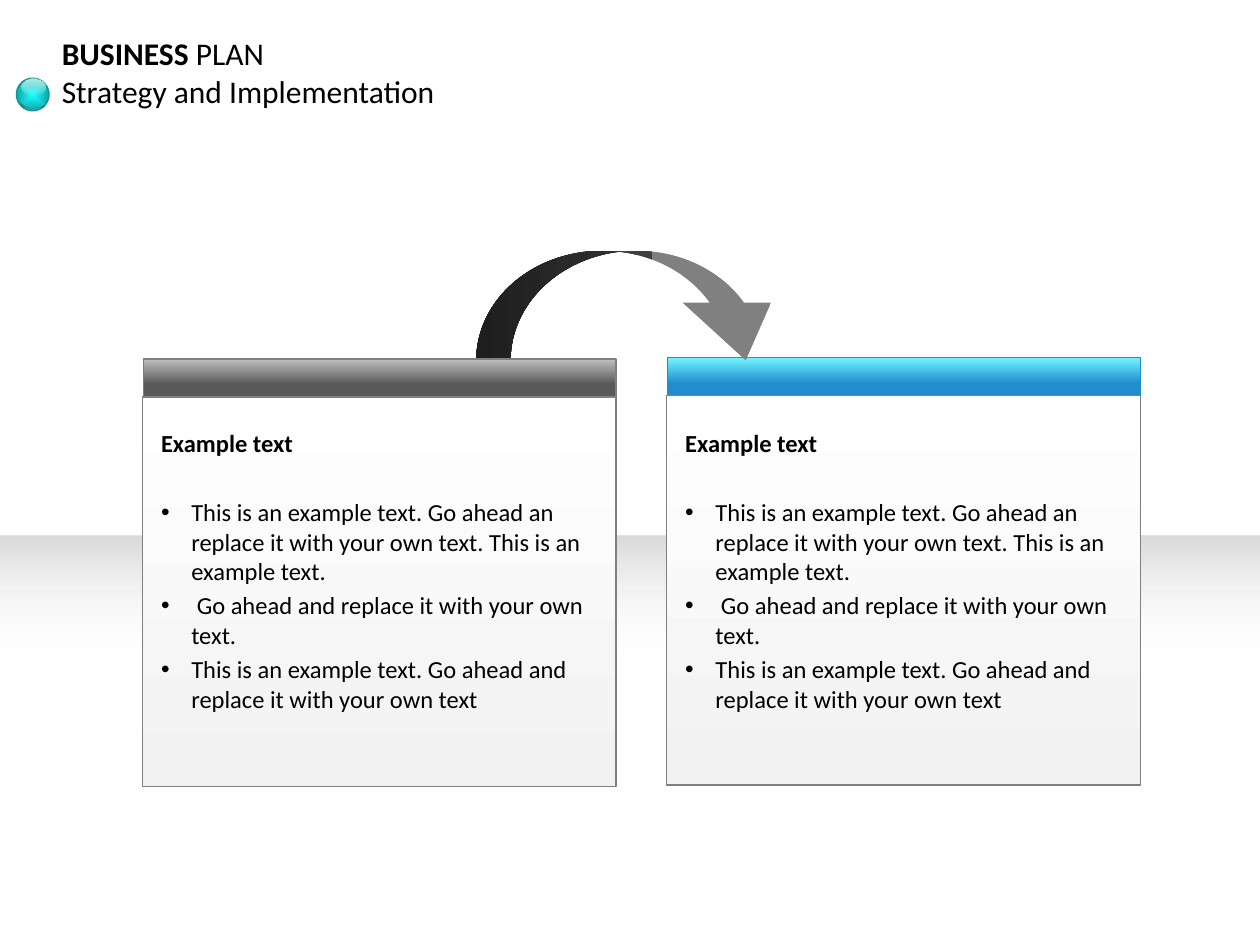
from dataclasses import dataclass
from typing import Optional

from lxml.etree import SubElement
from pptx import Presentation
from pptx.dml.color import RGBColor
from pptx.enum.shapes import MSO_SHAPE as Preset
from pptx.enum.text import MSO_ANCHOR, MSO_AUTO_SIZE, PP_ALIGN
from pptx.oxml import parse_xml
from pptx.oxml.ns import nsdecls, qn
from pptx.util import Inches, Pt


@dataclass(frozen=True)
class Theme:
    """Colours, font and type sizes of the slide."""
    font: str = "Calibri"
    title_size: int = 18
    body_size: int = 14
    black: str = "000000"
    white: str = "FFFFFF"
    pale: str = "F2F2F2"
    band: str = "D9D9D9"
    silver: str = "BFBFBF"
    grey: str = "808080"
    slate: str = "595959"
    dark: str = "404040"
    coal: str = "262626"
    sky: str = "74F4FF"
    blue: str = "208ECD"
    cyan: str = "1DFDFF"
    teal: str = "0C9799"


@dataclass(frozen=True)
class Stop:
    """One gradient stop, with position and opacity in percent."""
    position: int
    color: str
    opacity: int = 100


@dataclass(frozen=True)
class Gradient:
    """Gradient fill; without an angle it runs out from the centre."""
    stops: tuple[Stop, ...]
    angle: Optional[int] = None


@dataclass(frozen=True)
class Panel:
    """A text panel with a coloured header bar."""
    left: float
    top: float
    header: Gradient
    header_line: str


THEME = Theme()
HEADING = "Example text"
BULLETS = (
    "This is an example text. Go ahead an replace it with your own text. "
    "This is an example text.",
    " Go ahead and replace it with your own text.",
    "This is an example text. Go ahead and replace it with your own text",
)
PANEL_FILL = Gradient((Stop(0, THEME.pale), Stop(100, THEME.white)), 270)
BLUE_PANEL = Panel(5.29, 2.84, Gradient(
    (Stop(0, THEME.sky), Stop(56, THEME.blue), Stop(100, THEME.blue)), 90), THEME.blue)
GREY_PANEL = Panel(1.13, 2.85, Gradient(
    (Stop(44, THEME.slate), Stop(100, THEME.silver)), 270), THEME.grey)


def apply_gradient(shape, gradient: Gradient) -> None:
    """Give a shape a linear or centred gradient fill."""
    fill = parse_xml(f'<a:gradFill {nsdecls("a")} rotWithShape="1"/>')
    stop_list = SubElement(fill, qn("a:gsLst"))
    for stop in gradient.stops:
        node = SubElement(stop_list, qn("a:gs"), pos=str(stop.position * 1000))
        color = SubElement(node, qn("a:srgbClr"), val=stop.color)
        if stop.opacity < 100:
            SubElement(color, qn("a:alpha"), val=str(stop.opacity * 1000))
    if gradient.angle is None:
        center = SubElement(fill, qn("a:path"), {"path": "shape"})
        SubElement(center, qn("a:fillToRect"), {side: "50000" for side in "ltrb"})
    else:
        SubElement(fill, qn("a:lin"), ang=str(gradient.angle * 60000), scaled="0")
    shape.element.spPr.find(qn("a:prstGeom")).addnext(fill)


def add_filled(shapes, preset, left: float, top: float, width: float, height: float,
               gradient: Gradient, line: Optional[str] = None, rotation: float = 0,
               adjustments: tuple[float, ...] = ()):
    """Add a gradient-filled preset shape, outlined when a line colour is given."""
    shape = shapes.add_shape(preset, Inches(left), Inches(top), Inches(width), Inches(height))
    shape.shadow.inherit = False
    shape.rotation = rotation
    for index, value in enumerate(adjustments):
        shape.adjustments[index] = value
    apply_gradient(shape, gradient)
    if line:
        shape.line.color.rgb = RGBColor.from_string(line)
        shape.line.width = Pt(0.75)
    else:
        shape.line.fill.background()
    return shape


def style_paragraph(paragraph, size: int) -> None:
    """Set the shared font of a paragraph."""
    paragraph.font.name = THEME.font
    paragraph.font.size = Pt(size)
    paragraph.font.color.rgb = RGBColor.from_string(THEME.black)


def add_bullet(paragraph) -> None:
    """Turn a paragraph into a bullet with a hanging indent."""
    properties = paragraph._p.get_or_add_pPr()
    indent = Inches(0.24)
    properties.set("marL", str(indent))
    properties.set("indent", str(-indent))
    properties.append(parse_xml(f'<a:buFont {nsdecls("a")} typeface="Arial"/>'))
    properties.append(parse_xml(f'<a:buChar {nsdecls("a")} char="&#8226;"/>'))


def add_panel_frame(slide, panel: Panel) -> None:
    """Draw the header bar and the body of a panel as one group."""
    shapes = slide.shapes.add_group_shape().shapes
    add_filled(shapes, Preset.RECTANGLE, panel.left + 0.01, panel.top, 3.75, 0.36,
               panel.header, panel.header_line)
    add_filled(shapes, Preset.RECTANGLE, panel.left, panel.top + 0.3, 3.76, 3.09,
               PANEL_FILL, THEME.grey)


def add_panel_text(slide, left: float) -> None:
    """Write the heading and bullets of a panel."""
    box = slide.shapes.add_textbox(Inches(left), Inches(3.35), Inches(3.66), Inches(2.69))
    frame = box.text_frame
    frame.word_wrap = True
    heading = frame.paragraphs[0]
    heading.text = HEADING
    style_paragraph(heading, THEME.body_size)
    heading.font.bold = True
    for index, text in enumerate(BULLETS):
        paragraph = frame.add_paragraph()
        paragraph.text = text
        style_paragraph(paragraph, THEME.body_size)
        paragraph.space_before = Pt(2.8 if index else 22.6)
        add_bullet(paragraph)


def add_title(slide) -> None:
    """Place and format the two-line title."""
    title = slide.shapes.title
    title.left, title.top = Inches(0.39), Inches(0.22)
    title.width, title.height = Inches(3.19), Inches(0.71)
    frame = title.text_frame
    frame.auto_size = MSO_AUTO_SIZE.NONE
    frame.vertical_anchor = MSO_ANCHOR.TOP
    frame.word_wrap = True
    first, second = frame.paragraphs[0], frame.add_paragraph()
    strong = first.add_run()
    strong.text = "BUSINESS"
    strong.font.bold = True
    first.add_run().text = " PLAN"
    second.text = "Strategy and Implementation"
    for paragraph in (first, second):
        paragraph.alignment = PP_ALIGN.LEFT
        style_paragraph(paragraph, THEME.title_size)


def add_glossy_ball(slide) -> None:
    """Draw the shiny ball beside the title."""
    shapes = slide.shapes.add_group_shape().shapes
    add_filled(shapes, Preset.OVAL, 0.13, 0.62, 0.26, 0.26,
               Gradient((Stop(0, THEME.cyan), Stop(100, THEME.teal))), THEME.teal, 350.9)
    add_filled(shapes, Preset.OVAL, 0.17, 0.62, 0.19, 0.14,
               Gradient((Stop(0, THEME.white, 0), Stop(100, THEME.white, 77)), 270))
    add_filled(shapes, Preset.MOON, 0.2, 0.69, 0.12, 0.26,
               Gradient((Stop(24, THEME.black, 24), Stop(100, THEME.white, 0))),
               rotation=275.9, adjustments=(0.19,))


def build() -> None:
    """Build and save the slide."""
    presentation = Presentation()
    presentation.slide_width, presentation.slide_height = Inches(10), Inches(7.5)
    slide = presentation.slides.add_slide(presentation.slide_layouts[5])
    add_filled(slide.shapes, Preset.RECTANGLE, 0, 4.25, 10, 2.6,
               Gradient((Stop(0, THEME.band), Stop(39, THEME.white, 0)), 90))
    add_panel_frame(slide, BLUE_PANEL)
    add_filled(slide.shapes, Preset.CURVED_DOWN_ARROW, 3.78, 1.99, 2.49, 0.87,
               Gradient((Stop(11, THEME.grey), Stop(44, THEME.grey),
                         Stop(44, THEME.dark), Stop(100, THEME.coal)), 180),
               adjustments=(0.313, 0.808, 0.527))
    add_panel_frame(slide, GREY_PANEL)
    for panel in (GREY_PANEL, BLUE_PANEL):
        add_panel_text(slide, panel.left + 0.05)
    add_title(slide)
    add_glossy_ball(slide)
    presentation.save("out.pptx")


build()
